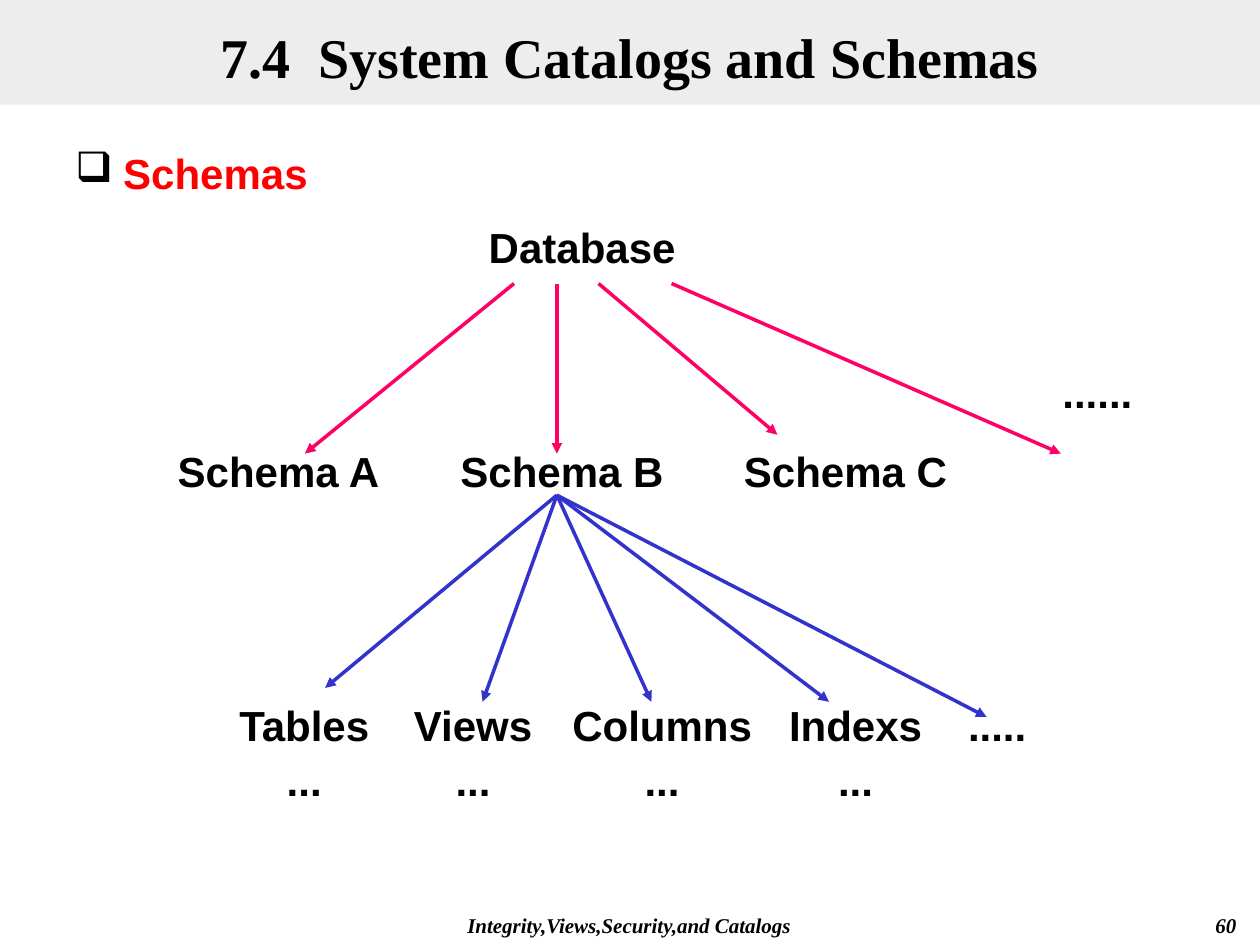
from typing import NamedTuple

import pptx
import pptx.dml.color
import pptx.enum.shapes
import pptx.enum.text
import pptx.oxml
import pptx.oxml.ns
import pptx.util
from pptx.util import Inches

ALIGN = pptx.enum.text.PP_ALIGN
BLACK, RED, PINK, BLUE = "000000", "FF0000", "FF0066", "3333CC"
HEADING_FONT, BODY_FONT = "Times New Roman", "Arial"


class Label(NamedTuple):
    text: str
    left: float
    top: float
    width: float
    height: float = 0.5


class Arrow(NamedTuple):
    start: tuple[float, float]
    end: tuple[float, float]
    color: str


def rgb(color: str) -> pptx.dml.color.RGBColor:
    return pptx.dml.color.RGBColor.from_string(color)


def add_xml(parent, markup: str):
    """Append an element of the drawing namespace and return it."""
    element = pptx.oxml.parse_xml(
        markup.replace(" ", f" {pptx.oxml.ns.nsdecls('a')} ", 1))
    parent.append(element)
    return element


def write(paragraph, text: str, size: float, font: str = BODY_FONT,
          color: str = BLACK, italic: bool = False, align=ALIGN.CENTER) -> None:
    paragraph.alignment = align
    paragraph.line_spacing = 1.1
    run = paragraph.add_run()
    run.text = text
    run.font.size = pptx.util.Pt(size)
    run.font.name = font
    run.font.bold = True
    run.font.italic = italic
    run.font.color.rgb = rgb(color)


def add_box(slide, label: Label):
    """Add an empty wrapping box at the label's place; return its paragraph."""
    box = slide.shapes.add_textbox(Inches(label.left), Inches(label.top),
                                   Inches(label.width), Inches(label.height))
    box.text_frame.word_wrap = True
    return box.text_frame.paragraphs[0]


def add_arrow(slide, arrow: Arrow) -> None:
    connector = slide.shapes.add_connector(
        pptx.enum.shapes.MSO_CONNECTOR.STRAIGHT,
        *map(Inches, arrow.start + arrow.end))
    connector.line.color.rgb = rgb(arrow.color)
    connector.line.width = pptx.util.Pt(2)
    add_xml(connector.line._get_or_add_ln(), '<a:tailEnd type="triangle"/>')
    add_xml(connector._element.spPr, "<a:effectLst />")


def format_title(title) -> None:
    title.left, title.top = 0, 0
    title.width, title.height = Inches(10), Inches(0.83)
    title.fill.solid()
    title.fill.fore_color.rgb = rgb("DDDDDD")
    fill_color = title._element.spPr.find(".//" + pptx.oxml.ns.qn("a:srgbClr"))
    add_xml(fill_color, '<a:alpha val="50000"/>')
    frame = title.text_frame
    frame.auto_size = pptx.enum.text.MSO_AUTO_SIZE.NONE
    frame.vertical_anchor = pptx.enum.text.MSO_ANCHOR.MIDDLE
    write(frame.paragraphs[0], "7.4  System Catalogs and Schemas", 32,
          HEADING_FONT)


def add_topic(slide) -> None:
    paragraph = add_box(slide, Label("Schemas", 0.5, 1.08, 9, 0.5))
    properties = paragraph._p.get_or_add_pPr()
    indent = Inches(0.38)
    properties.set("marL", str(indent))
    properties.set("indent", str(-indent))
    bullet_color = add_xml(properties, "<a:buClr />")
    add_xml(bullet_color, f'<a:srgbClr val="{BLACK}"/>')
    add_xml(properties, '<a:buChar char="❑"/>')
    write(paragraph, "Schemas", 24, color=RED, align=ALIGN.LEFT)


SCHEMA_WIDTH = 2.08
SCHEMA_TOP = 3.45
OBJECT_TOP = 5.46
LABELS = [
    Label("Database", 3.58, 1.67, SCHEMA_WIDTH),
    *(Label(f"Schema {letter}", 1.17 + 2.25 * i, SCHEMA_TOP, SCHEMA_WIDTH)
      for i, letter in enumerate("ABC")),
    Label("......", 7.67, 2.82, SCHEMA_WIDTH),
    Label("Tables ...", 1.75, OBJECT_TOP, 1.33, 0.9),
    Label("Views ...", 3.17, OBJECT_TOP, 1.17, 0.9),
    Label("Columns ...", 4.42, OBJECT_TOP, 1.67, 0.9),
    Label("Indexs ...", 6.08, OBJECT_TOP, 1.42, 0.9),
    Label(".....", 7.5, OBJECT_TOP, 0.83),
]

DATABASE_BOTTOM = 2.25
SCHEMA_B_BOTTOM = (4.42, 3.93)
ARROWS = [
    *(Arrow((x, DATABASE_BOTTOM), end, PINK) for x, end in [
        (4.08, (2.42, 3.6)), (4.42, (4.42, 3.6)),
        (4.75, (6.17, 3.45)), (5.33, (8.42, 3.6))]),
    *(Arrow(SCHEMA_B_BOTTOM, end, BLUE) for end in [
        (2.58, 5.46), (3.83, 5.57), (5.17, 5.57), (6.58, 5.57), (7.83, 5.69)]),
]

FOOTERS = [
    (Label("Integrity,Views,Security,and Catalogs", 2.83, 7.17, 4.33, 0.25),
     ALIGN.CENTER),
    (Label("60", 7.83, 7.17, 2.08, 0.25), ALIGN.RIGHT),
]


def main() -> None:
    deck = pptx.Presentation()
    deck.slide_width, deck.slide_height = Inches(10), Inches(7.5)
    slide = deck.slides.add_slide(deck.slide_layouts.get_by_name("Title Only"))
    format_title(slide.shapes.title)
    add_topic(slide)
    for label in LABELS:
        write(add_box(slide, label), label.text, 24)
    for arrow in ARROWS:
        add_arrow(slide, arrow)
    for label, align in FOOTERS:
        write(add_box(slide, label), label.text, 12, HEADING_FONT,
              italic=True, align=align)
    deck.save("out.pptx")


if __name__ == "__main__":
    main()
